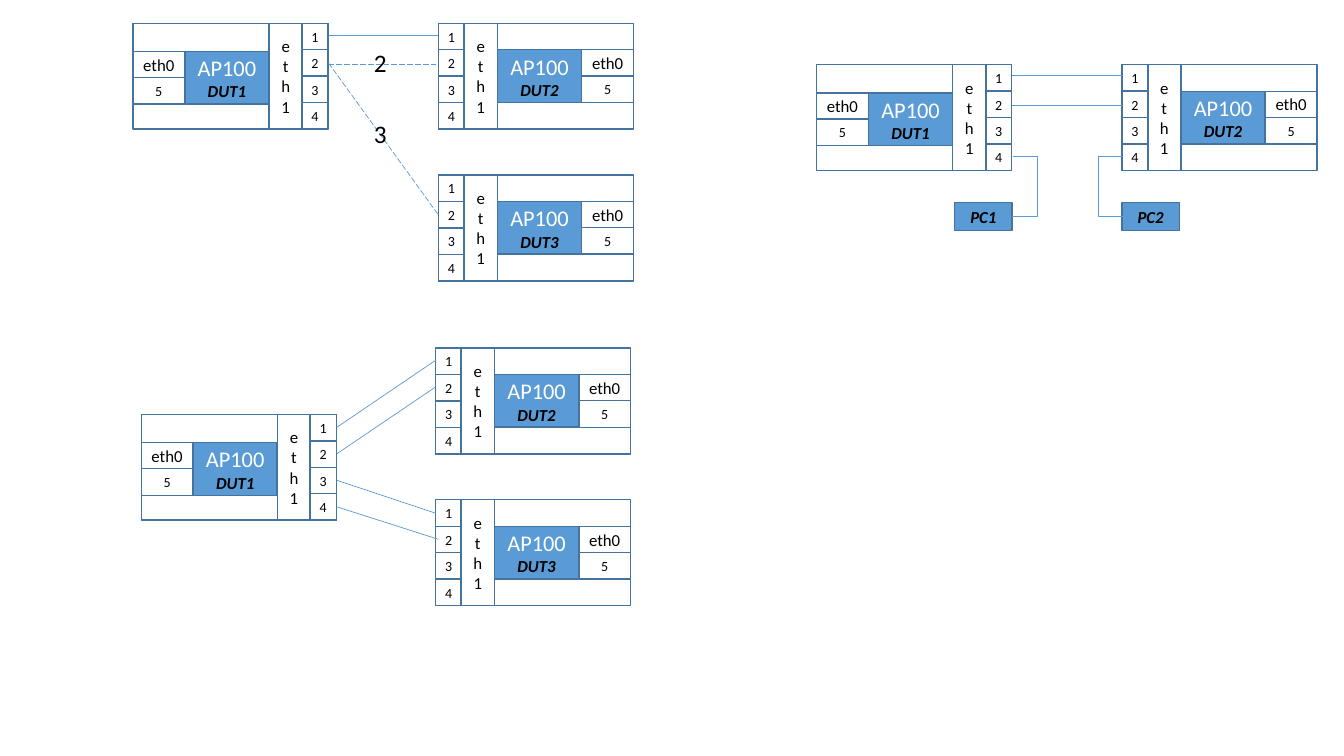
"""Build a slide of three network topologies made of linked access-point boards."""
from dataclasses import dataclass
from typing import Any, Optional

from lxml import etree
from pptx import Presentation
from pptx import util as u
from pptx.dml import color as dml
from pptx.enum import dml as dash, shapes, text
from pptx.oxml import ns

COLORS = {"fill": "5B9BD5", "border": "43739E", "link": "5B9BD5", "dark": "000000", "light": "FFFFFF"}
FONT = "Calibri"
BOARD_W, BOARD_H = 139.4, 75.6
PORT_W, PORT_H = 18.8, BOARD_H / 4
ETH1_X, ETH1_W = 97.2, 23.8
CHIP_X, CHIP_W, CHIP_H = 37.2, 59.8, 37.6
ETH0_W, ETH0_H = 36.9, 18.6


@dataclass(frozen=True)
class Board:
    name: str
    x: float
    y: float
    mirrored: bool = True


@dataclass(frozen=True)
class Link:
    x1: float
    y1: float
    x2: float
    y2: float
    dashed: bool = False
    bend: Optional[float] = None


@dataclass(frozen=True)
class Label:
    text: str
    x: float
    y: float


@dataclass(frozen=True)
class Pc:
    name: str
    x: float
    y: float


@dataclass(frozen=True)
class Topology:
    boards: tuple[Board, ...]
    links: tuple[Link, ...]
    pcs: tuple[Pc, ...] = ()
    labels: tuple[Label, ...] = ()


TOPOLOGIES = (
    Topology(
        boards=(Board("DUT1", 583.3, 46.2, False), Board("DUT2", 801.3, 46.2)),
        links=(
            Link(722.9, 54, 801.3, 54),
            Link(722.9, 75.2, 801.3, 75.2),
            Link(722.9, 154.8, 723.9, 111.7, bend=18),
            Link(802.3, 154.8, 801.3, 111.7, bend=18),
        ),
        pcs=(Pc("PC1", 681.8, 144.8), Pc("PC2", 801.3, 144.8)),
    ),
    Topology(
        boards=(Board("DUT1", 95, 16.6, False), Board("DUT2", 313.1, 16.6), Board("DUT3", 313.1, 125)),
        links=(
            Link(234.7, 25, 313.1, 25),
            Link(234.7, 46.2, 313.1, 46.2, dashed=True),
            Link(234.7, 45, 313.1, 153.4, dashed=True),
        ),
        labels=(Label("2", 260, 30.6), Label("3", 260, 80.8)),
    ),
    Topology(
        boards=(Board("DUT1", 100.9, 296, False), Board("DUT2", 311, 248.6), Board("DUT3", 311, 357)),
        links=(
            Link(240.5, 305.3, 311.4, 257.2),
            Link(240.5, 324.2, 311, 276.5),
            Link(240.5, 343, 311, 366.5),
            Link(240.5, 362, 313.1, 385.2),
        ),
    ),
)


def rgb(name: str) -> dml.RGBColor:
    return dml.RGBColor.from_string(COLORS[name])


def write(p: Any, content: str, *, size: float, color: str = "dark", strong: bool = False,
          align: Any = text.PP_ALIGN.CENTER) -> None:
    p.alignment = align
    r = p.add_run()
    r.text = content
    f = r.font
    f.name, f.size, f.bold, f.italic = FONT, u.Pt(size), strong, strong
    f.color.rgb = rgb(color)


def box(g: Any, x: float, y: float, w: float, h: float, *, filled: bool = False, inset: float = 0) -> Any:
    sp = g.shapes.add_shape(shapes.MSO_SHAPE.RECTANGLE, u.Pt(x), u.Pt(y), u.Pt(w), u.Pt(h))
    sp.shadow.inherit = False
    if filled:
        sp.fill.solid()
        sp.fill.fore_color.rgb = rgb("fill")
    else:
        sp.fill.background()
    sp.line.color.rgb = rgb("border")
    sp.line.width = u.Pt(1)
    tf = sp.text_frame
    tf.word_wrap = True
    tf.vertical_anchor = text.MSO_ANCHOR.MIDDLE
    tf.margin_left = tf.margin_right = u.Pt(inset)
    tf.margin_top = tf.margin_bottom = 0
    return tf


def draw_board(g: Any, b: Board) -> None:
    def left(offset: float, width: float) -> float:
        return b.x + (BOARD_W - offset - width if b.mirrored else offset)

    chip_y = b.y + (19 if b.mirrored else 20.2)
    for i in range(4):
        tf = box(g, left(BOARD_W - PORT_W, PORT_W), b.y + i * PORT_H, PORT_W, PORT_H)
        write(tf.paragraphs[0], str(i + 1), size=10)
    tf = box(g, left(CHIP_X, CHIP_W), chip_y, CHIP_W, CHIP_H, filled=True)
    write(tf.paragraphs[0], "AP100", size=16, color="light")
    write(tf.add_paragraph(), b.name, size=12, strong=True)
    tf = box(g, left(ETH1_X, ETH1_W), b.y, ETH1_W, BOARD_H, inset=7.2)
    write(tf.paragraphs[0], "eth1", size=12)
    tf = box(g, left(0, ETH0_W), chip_y + ETH0_H, ETH0_W, CHIP_H - ETH0_H)
    write(tf.paragraphs[0], "5", size=10)
    tf = box(g, left(0, ETH0_W), chip_y, ETH0_W, ETH0_H)
    write(tf.paragraphs[0], "eth0", size=12)
    box(g, b.x, b.y, BOARD_W, BOARD_H)


def draw_link(g: Any, k: Link) -> None:
    kind = shapes.MSO_CONNECTOR.STRAIGHT if k.bend is None else shapes.MSO_CONNECTOR.ELBOW
    c = g.shapes.add_connector(kind, u.Pt(k.x1), u.Pt(k.y1), u.Pt(k.x2), u.Pt(k.y2))
    c.line.color.rgb = rgb("link")
    c.line.width = u.Pt(0.5)
    if k.dashed:
        c.line.dash_style = dash.MSO_LINE.LONG_DASH
    pr = c._element.spPr
    etree.SubElement(pr, ns.qn("a:effectLst"))
    if k.bend is not None:
        av = pr.find(".//" + ns.qn("a:avLst"))
        etree.SubElement(av, ns.qn("a:gd"), name="adj1", fmla=f"val {round(k.bend * 100000)}")


def draw_pc(g: Any, pc: Pc) -> None:
    tf = box(g, pc.x, pc.y, 41.2, 20, filled=True)
    write(tf.paragraphs[0], pc.name, size=12, strong=True)


def draw_label(g: Any, label: Label) -> None:
    tf = g.shapes.add_textbox(u.Pt(label.x), u.Pt(label.y), u.Pt(23.8), u.Pt(28.8)).text_frame
    tf.word_wrap = False
    tf.auto_size = text.MSO_AUTO_SIZE.SHAPE_TO_FIT_TEXT
    write(tf.paragraphs[0], label.text, size=18, align=text.PP_ALIGN.LEFT)


def main() -> None:
    prs = Presentation()
    prs.slide_width, prs.slide_height = u.Pt(960), u.Pt(540)
    s = prs.slides.add_slide(prs.slide_layouts[6])
    for t in TOPOLOGIES:
        g = s.shapes.add_group_shape()
        for items, draw in ((t.boards, draw_board), (t.pcs, draw_pc),
                            (t.links, draw_link), (t.labels, draw_label)):
            for item in items:
                draw(g, item)
    prs.save("out.pptx")


if __name__ == "__main__":
    main()
